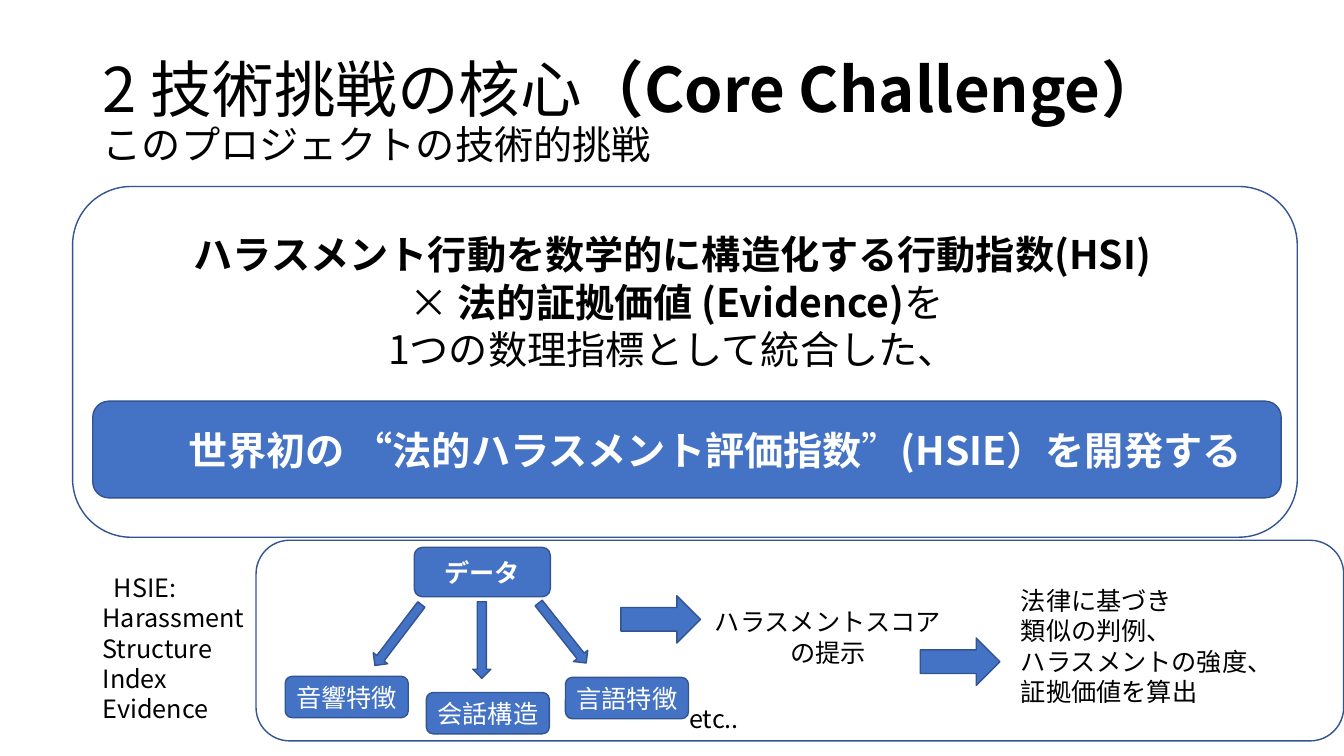
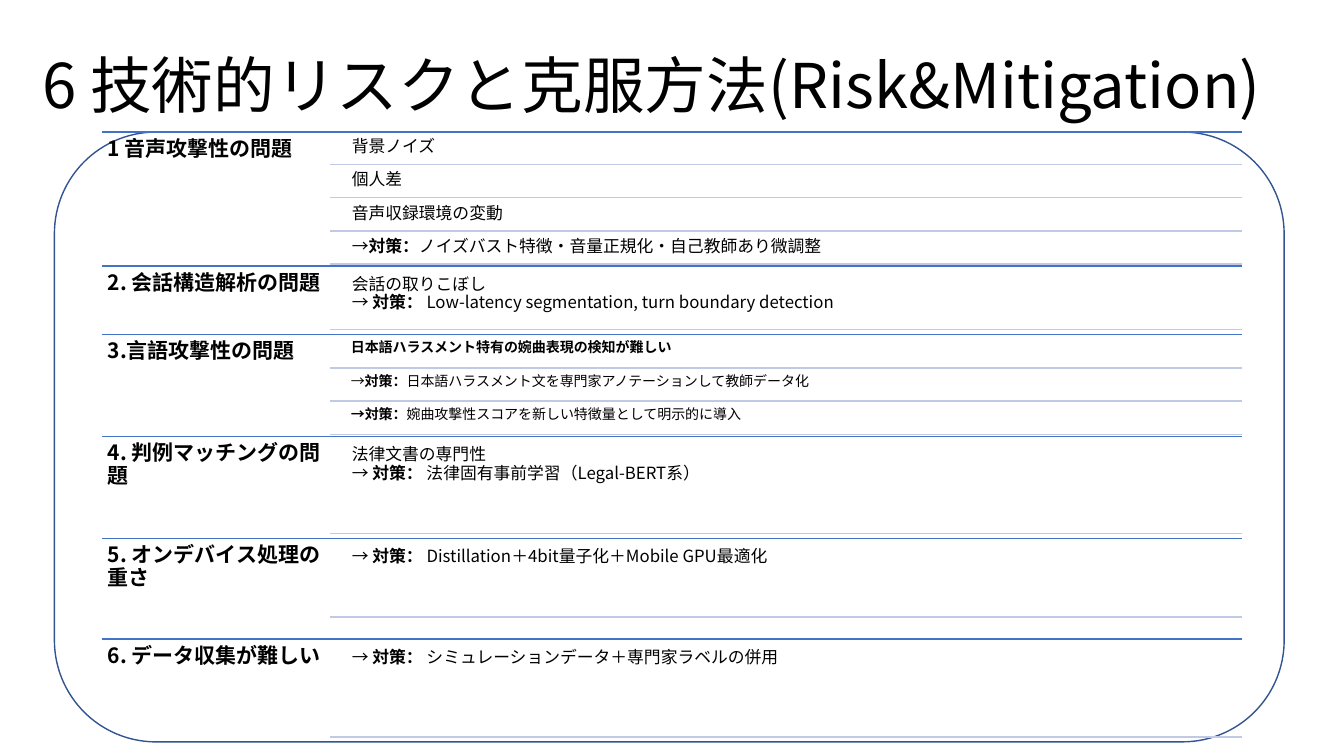
from lxml import etree
from pptx import Presentation
from pptx.dml.color import RGBColor
from pptx.enum.shapes import MSO_CONNECTOR, MSO_SHAPE
from pptx.enum.text import MSO_ANCHOR, MSO_AUTO_SIZE, PP_ALIGN
from pptx.oxml.ns import qn
from pptx.util import Pt

PX = 9144  # 100 px to the inch
FONT = "Noto Sans CJK JP"
BLACK = RGBColor(0x00, 0x00, 0x00)
WHITE = RGBColor(0xFF, 0xFF, 0xFF)
BLUE = RGBColor(0x44, 0x72, 0xC4)
NAVY = RGBColor(0x32, 0x54, 0x91)
PALE = RGBColor(0xC1, 0xC9, 0xE4)
ROUND = MSO_SHAPE.ROUNDED_RECTANGLE
DOWN = MSO_SHAPE.DOWN_ARROW
RIGHT = MSO_SHAPE.RIGHT_ARROW
LEFT, CENTER = PP_ALIGN.LEFT, PP_ALIGN.CENTER


def write(frame, lines, size, color=BLACK, align=LEFT, space=1.0, inset=None):
    """Fill a frame, one paragraph a line; *stars* mark bold, \\n a break."""
    frame.word_wrap = True
    if inset is not None:
        frame.margin_left = frame.margin_right = inset * PX
        frame.margin_top = frame.margin_bottom = inset * PX
    for n, line in enumerate(lines):
        para = frame.paragraphs[0] if n == 0 else frame.add_paragraph()
        para.alignment = align
        para.line_spacing = space
        for k, part in enumerate(line.split("*")):
            for m, text in enumerate(part.split("\n")):
                if m:
                    para.add_line_break()
                if text:
                    run = para.add_run()
                    run.text = text
                    run.font.size = Pt(size)
                    run.font.bold = k % 2 == 1
                    run.font.color.rgb = color
                    run.font.name = FONT
                    props = run.font._element
                    etree.SubElement(props, qn("a:ea"), typeface=FONT)
        for gap in para._p.findall(qn("a:br")):
            etree.SubElement(gap, qn("a:rPr"), sz=str(size * 100))


def draw(slide, kind, box, fill=None, turn=0):
    """Add a navy-edged shape, hollow unless a fill is given."""
    shape = slide.shapes.add_shape(kind, *[v * PX for v in box])
    shape.shadow.inherit = False
    shape.line.color.rgb = NAVY
    shape.line.width = Pt(1)
    shape.rotation = turn
    if fill is None:
        shape.fill.background()
    else:
        shape.fill.solid()
        shape.fill.fore_color.rgb = fill
    return shape


deck = Presentation()
deck.slide_width, deck.slide_height = 12192000, 6858000

# Titles and slides
heads = [
    ((92, 40, 1150, 145),
     "2 技術挑戦の核心*（Core Challenge）*\nこのプロジェクトの技術的挑戦"),
    ((32, 15, 1344, 145), "6 技術的リスクと克服方法(Risk&Mitigation)"),
]
slides = []
for box, text in heads:
    slide = deck.slides.add_slide(deck.slide_layouts[5])
    title = slide.shapes.title
    title.left, title.top, title.width, title.height = [v * PX for v in box]
    frame = title.text_frame
    frame.auto_size = MSO_AUTO_SIZE.NONE
    frame.vertical_anchor = MSO_ANCHOR.MIDDLE
    write(frame, [text], 44, space=0.9)
    slides.append(slide)
core, risk = slides

# Slide 1: core challenge
core.shapes.title.text_frame.paragraphs[0].runs[-1].font.size = Pt(28)
draw(core, ROUND, (72, 185, 1215, 348))
bar = draw(core, ROUND, (92, 398, 1179, 96), BLUE)
write(bar.text_frame,
      ["*世界初の “法的ハラスメント評価指数*”*(HSIE）を開発する*"], 28, WHITE)
bar.text_frame.margin_left = 90 * PX

draw(core, ROUND, (254, 536, 1079, 199))
nodes = [
    ((411, 543, 135, 49), "*データ*"),
    ((283, 671, 122, 41), "音響特徴"),
    ((423, 687, 122, 41), "会話構造"),
    ((561, 672, 122, 41), "言語特徴"),
]
for box, text in nodes:
    node = draw(core, ROUND, box, BLUE)
    write(node.text_frame, [text], 18, WHITE, CENTER, inset=4)

for x, y, turn in [(386, 592, 37.3), (469, 597, 0), (549, 590, 321.6)]:
    draw(core, DOWN, (x, y, 18, 76), BLUE, turn)
for x, y in [(616, 591), (913, 633)]:
    draw(core, RIGHT, (x, y, 79, 47), BLUE)

notes = [
    ((46, 224, 1242, 151), 28, CENTER,
     ["*ハラスメント行動を数学的に構造化する行動指数(HSI)*",
      " × *法的証拠価値 (Evidence)*を\n1つの数理指標として統合した、"]),
    ((698, 597, 247, 71), 18, CENTER, ["ハラスメントスコア", "の提示"]),
    ((674, 693, 80, 40), 18, LEFT, ["etc.."]),
    ((1003, 576, 329, 131), 18, LEFT,
     ["法律に基づき", "類似の判例、", "ハラスメントの強度、", "証拠価値を算出"]),
    ((92, 563, 170, 162), 18, LEFT,
     ["HSIE:", "Harassment", "Structure", "Index", "Evidence"]),
]
for box, size, align, lines in notes:
    note = core.shapes.add_textbox(*[v * PX for v in box])
    write(note.text_frame, lines, size, align=align)
term = note.text_frame.paragraphs[0]
term._p.get_or_add_pPr().set("indent", str(11 * PX))

# Slide 2: risks, each with a heading and ruled items
draw(risk, ROUND, (54, 131, 1220, 605))
EDGE, INNER, END, PITCH = 101, 327, 1232, 33
# top, heading, text size, gap above items, item height, items
risks = [
    (131, "1 音声攻撃性の問題", 12, 1, 31,
     ["背景ノイズ", "個人差", "音声収録環境の変動",
      "→*対策：*ノイズバスト特徴・音量正規化・自己教師あり微調整"]),
    (264, "2. 会話構造解析の問題", 12, 5, 58,
     ["会話の取りこぼし\n→ *対策： *"
      "Low-latency segmentation, turn boundary detection"]),
    (332, "3.言語攻撃性の問題", 10, 2, 31,
     ["*日本語ハラスメント特有の婉曲表現の検知が難しい*",
      "→*対策：*日本語ハラスメント文を専門家アノテーションして教師データ化",
      "*→対策：*婉曲攻撃性スコアを新しい特徴量として明示的に導入"]),
    (433, "4. 判例マッチングの問題", 12, 5, 91,
     ["法律文書の専門性\n→ *対策：* 法律固有事前学習（Legal-BERT系）"]),
    (534, "5. オンデバイス処理の重さ", 12, 5, 73,
     ["→ *対策： *Distillation＋4bit量子化＋Mobile GPU最適化"]),
    (634, "6. データ収集が難しい", 12, 5, 92,
     ["→ *対策：* シミュレーションデータ＋専門家ラベルの併用"]),
]
rules = []
for top, head, size, gap, high, items in risks:
    rules.append((EDGE, top, BLUE))
    cells = [((EDGE, top, 226, 60), f"*{head}*", 15, 6)]
    for n, item in enumerate(items):
        y = top + gap + n * PITCH
        cells.append(((344, y, 888, high), item, size, 5 if size == 12 else 4))
        rules.append((INNER, y + high, PALE))
    for box, text, points, inset in cells:
        cell = risk.shapes.add_textbox(*[v * PX for v in box])
        write(cell.text_frame, [text], points, space=0.9, inset=inset)

for x, y, color in rules:
    rule = risk.shapes.add_connector(
        MSO_CONNECTOR.STRAIGHT, x * PX, y * PX, END * PX, y * PX)
    rule.line.color.rgb = color
    rule.line.width = Pt(1)
    etree.SubElement(rule._element.spPr, qn("a:effectLst"))

deck.save("out.pptx")
